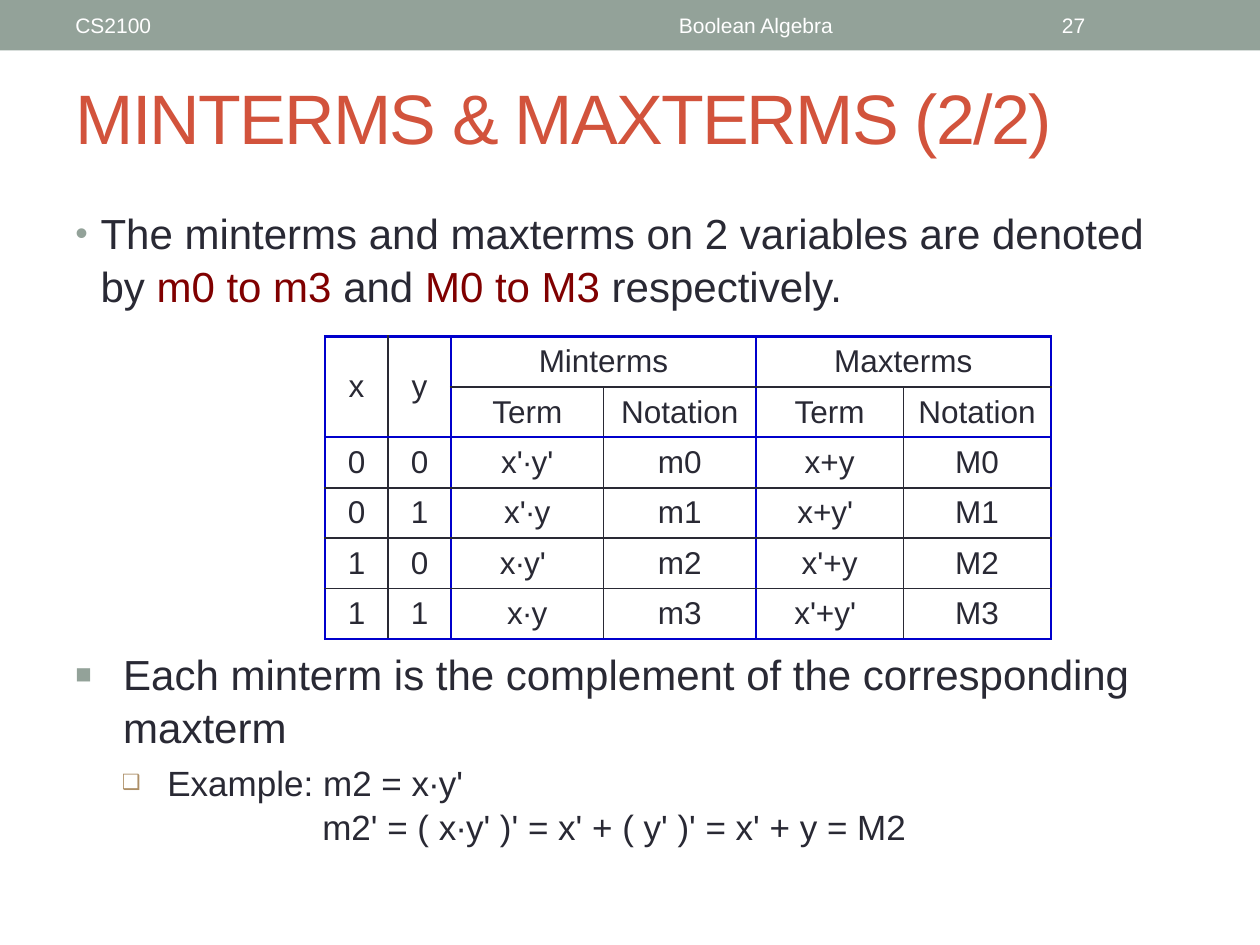
import pptx
import pptx.util
import pptx.dml.color
import pptx.enum.shapes
import pptx.enum.text
import pptx.oxml
import pptx.oxml.ns
import lxml.etree

Inches, Pt = pptx.util.Inches, pptx.util.Pt
RGBColor = pptx.dml.color.RGBColor
ALIGN, ANCHOR = pptx.enum.text.PP_ALIGN, pptx.enum.text.MSO_ANCHOR
SAGE = RGBColor(0x93, 0xA2, 0x99)
TAN = RGBColor(0xAD, 0x8F, 0x67)
RUST = RGBColor(0xD2, 0x53, 0x3C)
INK = RGBColor(0x29, 0x29, 0x34)
MAROON = RGBColor(0x80, 0x00, 0x00)
BLUE = RGBColor(0x00, 0x00, 0xCC)
WHITE = RGBColor(0xFF, 0xFF, 0xFF)


def style(paragraph, size, color, align=ALIGN.LEFT):
    paragraph.alignment = align
    for run in paragraph.runs:
        run.font.name, run.font.size = "Arial", Pt(size)
        run.font.color.rgb = color


def indent(paragraph, left, hanging=0, bullet=None, color=None, percent=100):
    properties = paragraph._p.get_or_add_pPr()
    properties.set("marL", str(Inches(left)))
    properties.set("indent", str(-Inches(hanging)))
    if bullet:
        bullet_color = lxml.etree.SubElement(properties, pptx.oxml.ns.qn("a:buClr"))
        lxml.etree.SubElement(bullet_color, pptx.oxml.ns.qn("a:srgbClr"), val=str(color))
        lxml.etree.SubElement(properties, pptx.oxml.ns.qn("a:buSzPct"), val=str(percent * 1000))
        lxml.etree.SubElement(properties, pptx.oxml.ns.qn("a:buFont"), typeface="Arial")
        lxml.etree.SubElement(properties, pptx.oxml.ns.qn("a:buChar"), char=bullet)


deck = pptx.Presentation()
deck.slide_width, deck.slide_height = Inches(10), Inches(7.5)
slide = deck.slides.add_slide(deck.slide_layouts[5])

band = slide.shapes.add_shape(pptx.enum.shapes.MSO_SHAPE.RECTANGLE, 0, 0, deck.slide_width, Inches(0.4))
band.shadow.inherit = False
band.fill.solid()
band.fill.fore_color.rgb = SAGE
band.line.fill.background()

for label, left, width, align in [
    ("CS2100", 0.5, 3.17, ALIGN.LEFT),
    ("Boolean Algebra", 3.75, 4.5, ALIGN.CENTER),
    ("27", 8.33, 1.17, ALIGN.LEFT),
]:
    header = slide.shapes.add_textbox(Inches(left), Inches(0.02), Inches(width), Inches(0.36)).text_frame
    header.word_wrap = True
    header.vertical_anchor = ANCHOR.MIDDLE
    header.text = label
    style(header.paragraphs[0], 12, WHITE, align)

title = slide.shapes.title
title.left, title.top, title.width, title.height = Inches(0.5), Inches(0.3), Inches(9), Inches(1.25)
title.text_frame.text = "MINTERMS & MAXTERMS (2/2)"
title.text_frame.vertical_anchor = ANCHOR.MIDDLE
style(title.text_frame.paragraphs[0], 40, RUST)
title.text_frame.paragraphs[0].runs[0].font._element.set("spc", "-100")

intro = slide.shapes.add_textbox(Inches(0.5), Inches(1.58), Inches(8.83), Inches(1)).text_frame
intro.word_wrap = True
statement = intro.paragraphs[0]
for words in ["The minterms and maxterms on 2 variables are denoted by ",
              "m0 to m3", " and ", "M0 to M3", " respectively."]:
    statement.add_run().text = words
style(statement, 24, INK)
for notation in statement.runs[1::2]:
    notation.font.color.rgb = MAROON
statement.line_spacing = 1.05
indent(statement, 0.2, 0.2, "•", SAGE, 85)

complement = slide.shapes.add_textbox(Inches(0.5), Inches(5.08), Inches(9), Inches(1.67)).text_frame
complement.word_wrap = True
complement.text = "\n".join([
    "Each minterm is the complement of the corresponding maxterm",
    "Example: m2 = x∙y'",
    "m2' = ( x∙y' )' = x' + ( y' )' = x' + y = M2",
])
rule, example, derivation = complement.paragraphs
for paragraph, size, before in [(rule, 24, 5), (example, 20, 4), (derivation, 20, 0)]:
    style(paragraph, size, INK)
    paragraph.line_spacing = 1.05
    paragraph.space_before = Pt(before)
example.level = 1
derivation.level = 1
indent(rule, 0.38, 0.38, "■", SAGE, 65)
indent(example, 0.73, 0.36, "❑", TAN, 60)
indent(derivation, 1.96)

terms = [
    ["x", "y", "Minterms", "", "Maxterms", ""],
    ["", "", "Term", "Notation", "Term", "Notation"],
    ["0", "0", "x'∙y'", "m0", "x+y", "M0"],
    ["0", "1", "x'∙y", "m1", "x+y' ", "M1"],
    ["1", "0", "x∙y' ", "m2", "x'+y", "M2"],
    ["1", "1", "x∙y", "m3", "x'+y' ", "M3"],
]
widths = [0.5, 0.5, 1.21, 1.21, 1.17, 1.17]
row_height = 0.35
table = slide.shapes.add_table(len(terms), len(widths), Inches(2.58), Inches(2.67),
                               Inches(sum(widths)), Inches(row_height * len(terms))).table
table.first_row = table.horz_banding = False
for column, width in zip(table.columns, widths):
    column.width = Inches(width)
for row in table.rows:
    row.height = Inches(row_height)
for first, last in [((0, 0), (1, 0)), ((0, 1), (1, 1)), ((0, 2), (0, 3)), ((0, 4), (0, 5))]:
    table.cell(*first).merge(table.cell(*last))

blue_columns, blue_rows = {0, 2, 4, 6}, {0, 2, 6}
for r, entries in enumerate(terms):
    for c, entry in enumerate(entries):
        cell = table.cell(r, c)
        if cell.is_spanned:
            continue
        cell.text_frame.text = entry
        cell.vertical_anchor = ANCHOR.MIDDLE
        style(cell.text_frame.paragraphs[0], 18, INK, ALIGN.CENTER)
        edges = {
            "lnL": c in blue_columns,
            "lnR": c + cell.span_width in blue_columns,
            "lnT": r in blue_rows,
            "lnB": r + cell.span_height in blue_rows,
        }
        for edge, is_blue in edges.items():
            border = lxml.etree.SubElement(cell._tc.get_or_add_tcPr(), pptx.oxml.ns.qn("a:" + edge),
                                           w=str(Pt(1.5 if is_blue else 1)))
            border_fill = lxml.etree.SubElement(border, pptx.oxml.ns.qn("a:solidFill"))
            lxml.etree.SubElement(border_fill, pptx.oxml.ns.qn("a:srgbClr"), val=str(BLUE if is_blue else INK))
        cell.fill.background()

deck.save("out.pptx")
